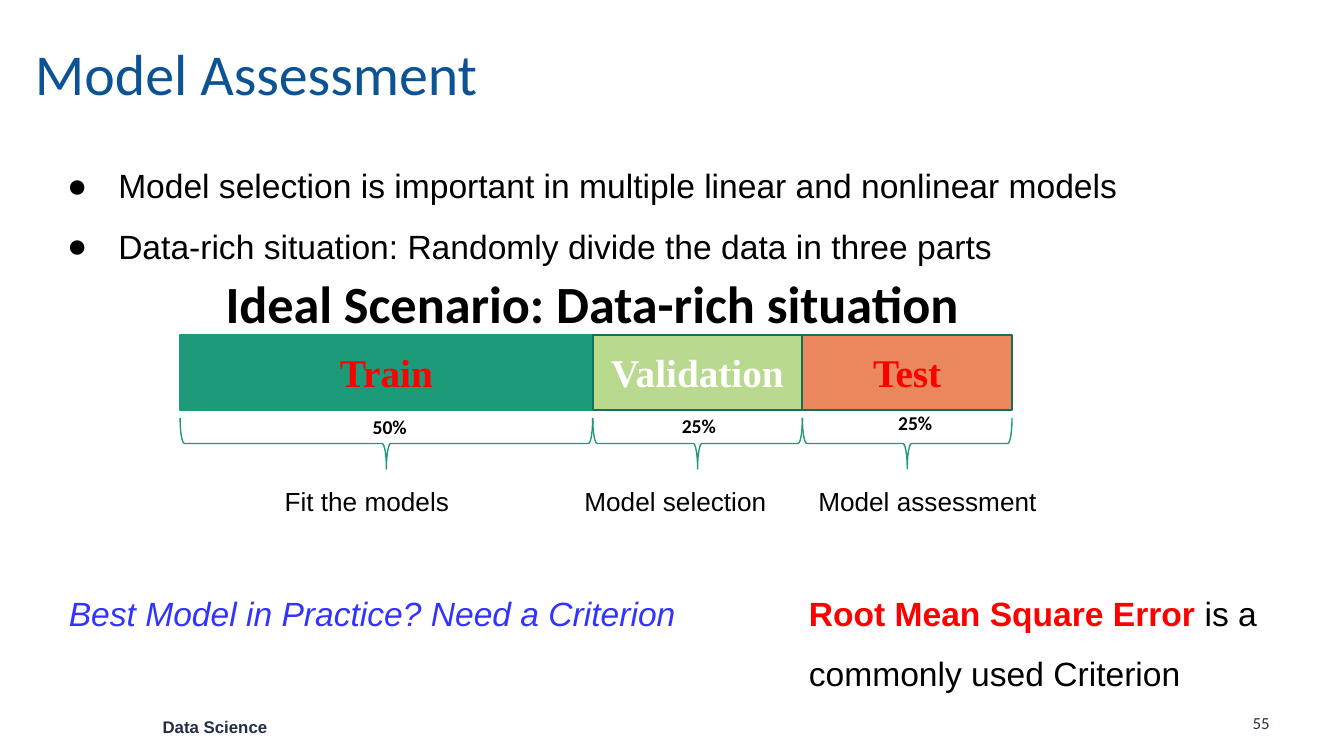
"""Build the Model Assessment slide."""
from lxml import etree
from pptx import Presentation
from pptx.dml.color import RGBColor
from pptx.enum.shapes import MSO_SHAPE
from pptx.enum.text import MSO_ANCHOR, MSO_AUTO_SIZE, PP_ALIGN
from pptx.oxml.ns import qn
from pptx.util import Inches, Pt

LEFT, MID = PP_ALIGN.LEFT, PP_ALIGN.CENTER
TOP, CENTRE = MSO_ANCHOR.TOP, MSO_ANCHOR.MIDDLE
FIXED = MSO_AUTO_SIZE.NONE
RECT, BRACE = MSO_SHAPE.RECTANGLE, MSO_SHAPE.RIGHT_BRACE

BLACK = RGBColor(0, 0, 0)
WHITE = RGBColor(255, 255, 255)
RED = RGBColor(255, 0, 0)
BLUE = RGBColor(0x33, 0x33, 0xFF)
NAVY = RGBColor(0x23, 0x2D, 0x47)
TITLE = RGBColor(0x0B, 0x53, 0x94)
GREEN = RGBColor(0x1D, 0x9A, 0x78)
DARK = RGBColor(0x15, 0x70, 0x57)
LIME = RGBColor(0xB8, 0xD9, 0x8E)
CORAL = RGBColor(0xEA, 0x87, 0x5C)

HEAD = "Model Assessment"
POINTS = [
    "Model selection is important in multiple linear and nonlinear models",
    "Data-rich situation: Randomly divide the data in three parts",
]
PARTS = [
    dict(name="Train", width=3.07, fill=GREEN, line=GREEN, ink=RED,
         share="50%", spot=(2.65, 3.04), use="Fit the models", start=2.02),
    dict(name="Validation", width=1.56, fill=LIME, line=DARK, ink=WHITE,
         share="25%", spot=(4.95, 3.03), use="Model selection", start=4.25),
    dict(name="Test", width=1.56, fill=CORAL, line=DARK, ink=RED,
         share="25%", spot=(6.56, 3.01), use="Model assessment", start=5.99),
]
NOTES = [
    ("Ideal Scenario: Data-rich situation", (1.19, 1.97, 6.43, 0.57),
     dict(size=28, face="Calibri", bold=True, align=MID)),
    ("Best Model in Practice? Need a Criterion", (0, 4.36, 5.54, 0.4),
     dict(size=18, color=BLUE, italic=True, align=MID)),
    ([("Root Mean Square Error ", RED, True),
      ("is a commonly used Criterion", BLACK, False)],
     (5.92, 4.21, 4.11, 0.86), dict(size=18, space=1.5)),
    ("Data Science", (1.14, 5.29, 1.64, 0.23),
     dict(size=9, color=NAVY, bold=True, pad=(0.07, 0.04))),
    ("55", (9.25, 5.26, 0.5, 0.23),
     dict(size=9, face="Calibri", color=NAVY, pad=(0.07, 0.04))),
]
BAR_X, BAR_Y, BAR_H = 1.34, 2.49, 0.56
BRACE_Y, BRACE_H = 3.11, 0.38


def bullet(para):
    props = para._p.get_or_add_pPr()
    props.set("marL", str(Inches(0.5)))
    props.set("indent", str(Inches(-0.38)))
    tint = etree.SubElement(props, qn("a:buClr"))
    etree.SubElement(tint, qn("a:srgbClr")).set("val", str(BLACK))
    etree.SubElement(props, qn("a:buChar")).set("char", "●")


def write(shape, text, size=14, face="Arial", color=BLACK, bold=False,
          italic=False, align=LEFT, anchor=TOP, pad=(0.1, 0.05), space=1.0,
          bullets=False, wrap=True):
    """Fill a shape with lines, or with one line of (text, colour, bold) runs."""
    frame = shape.text_frame
    frame.word_wrap, frame.auto_size = wrap, FIXED
    frame.vertical_anchor = anchor
    frame.margin_left = frame.margin_right = Inches(pad[0])
    frame.margin_top = frame.margin_bottom = Inches(pad[1])
    if isinstance(text, str):
        rows = [[(line, color, bold)] for line in text.split("\n")]
    else:
        rows = [text]
    for i, row in enumerate(rows):
        para = frame.add_paragraph() if i else frame.paragraphs[0]
        if bullets:
            bullet(para)
        para.alignment, para.line_spacing = align, space
        para.space_before = para.space_after = Pt(0)
        for words, ink, heavy in row:
            run = para.add_run()
            run.text = words
            font = run.font
            font.name, font.size = face, Pt(size)
            font.bold, font.italic = heavy, italic
            font.color.rgb = ink


def place(shape, box):
    shape.left, shape.top, shape.width, shape.height = map(Inches, box)
    return shape


def label(slide, text, box, **style):
    write(slide.shapes.add_textbox(*map(Inches, box)), text, **style)


def draw(slide, kind, box, line, weight, fill=None):
    shape = slide.shapes.add_shape(kind, *map(Inches, box))
    shape.shadow.inherit = False
    if fill is None:
        shape.fill.background()
    else:
        shape.fill.solid()
        shape.fill.fore_color.rgb = fill
    shape.line.color.rgb, shape.line.width = line, Pt(weight)
    return shape


def main():
    deck = Presentation()
    deck.slide_width = Inches(10)
    deck.slide_height = deck.slide_width * 9 // 16
    slide = deck.slides.add_slide(deck.slide_layouts[1])
    head, body = slide.placeholders
    write(place(head, (0.19, 0.1, 8.62, 0.95)), HEAD, size=31, face="Calibri",
          color=TITLE, anchor=CENTRE, pad=(0.07, 0.04), space=0.9)
    write(place(body, (0.28, 0.98, 8.87, 4.09)), "\n".join(POINTS), size=18,
          pad=(0.1, 0.1), space=1.5, bullets=True)

    left = BAR_X
    for part in PARTS:
        wide = part["width"]
        bar = draw(slide, RECT, (left, BAR_Y, wide, BAR_H), part["line"], 1,
                   part["fill"])
        write(bar, part["name"], size=21, face="Times New Roman", bold=True,
              color=part["ink"], align=MID, anchor=CENTRE)
        shift = (wide - BRACE_H) / 2
        brace = draw(slide, BRACE, (left + shift, BRACE_Y - shift, BRACE_H, wide),
                     GREEN, 0.75)
        brace.rotation = 90
        label(slide, part["share"], (*part["spot"], 0.5, 0.28), size=10.5,
              face="Calibri", bold=True, align=MID, wrap=False)
        label(slide, part["use"], (part["start"], 3.56, 1.83, 0.34))
        left += wide

    for text, box, style in NOTES:
        label(slide, text, box, **style)
    deck.save("out.pptx")


if __name__ == "__main__":
    main()
